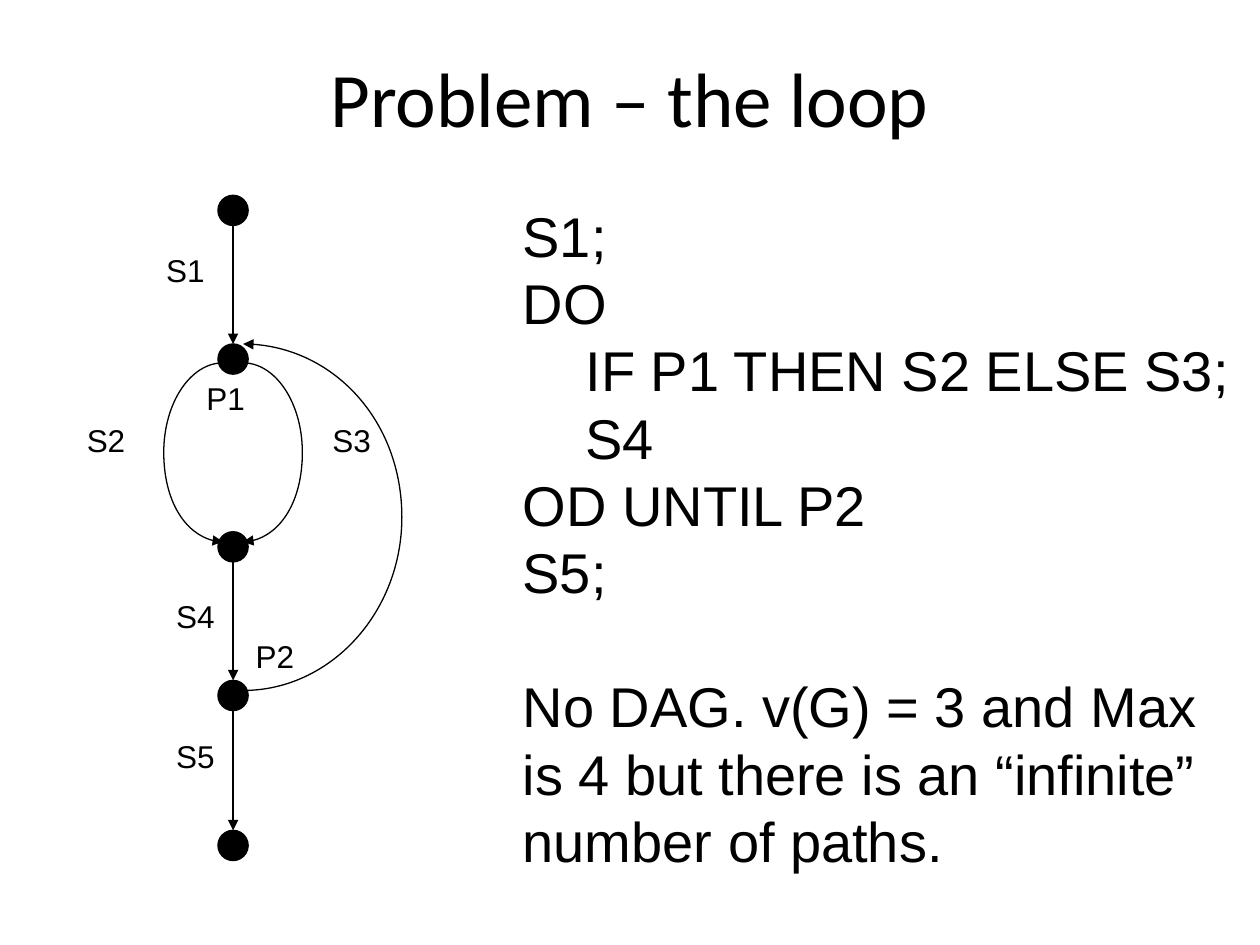
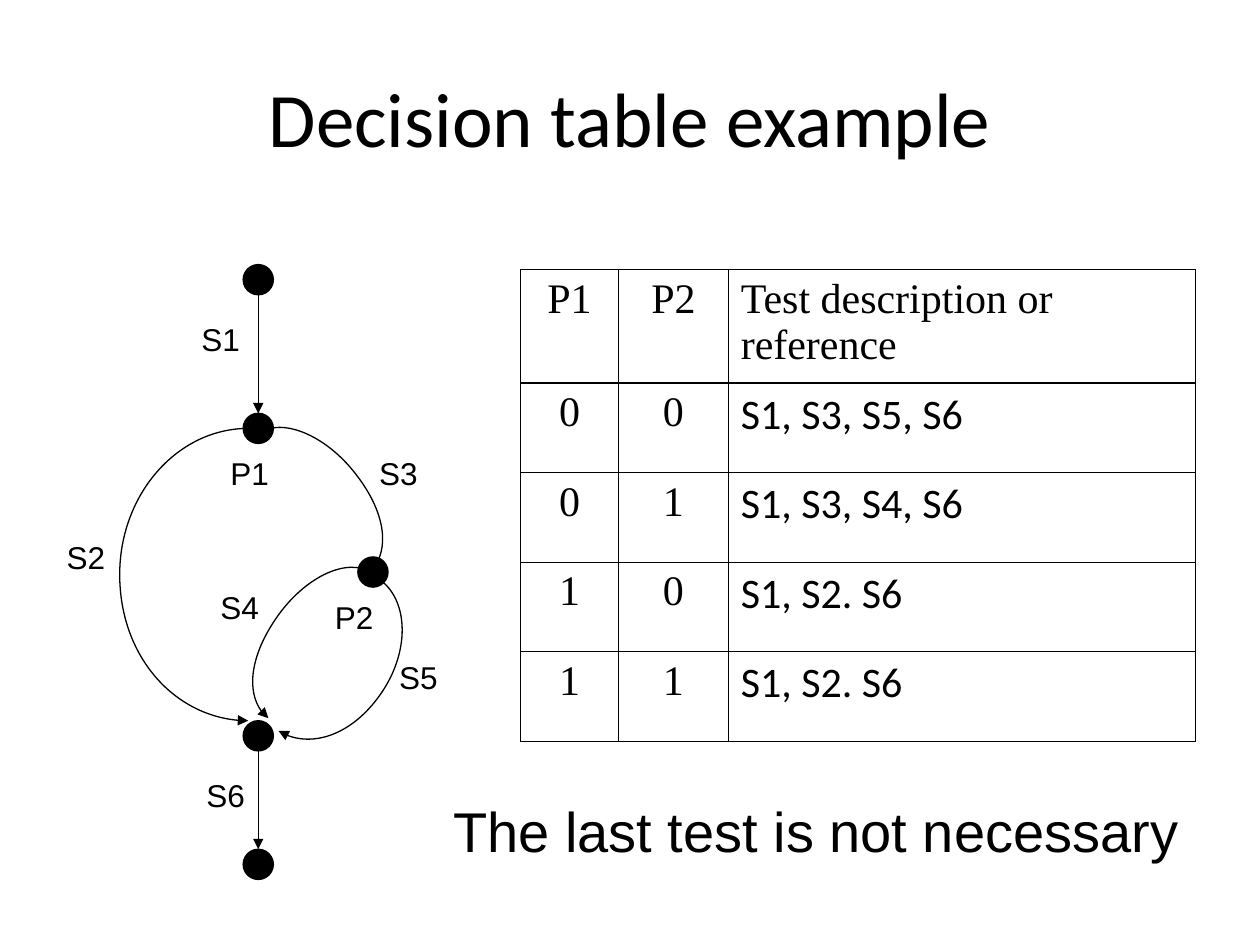
from math import hypot

from lxml import etree
from pptx import Presentation
from pptx import util as u
from pptx.dml.color import RGBColor
from pptx.enum import shapes, text
from pptx.oxml.ns import qn

COLORS = {"ink": "000000", "paper": "FFFFFF"}
TITLE_FONT, BODY_FONT, TABLE_FONT = "Calibri", "Arial", "Times New Roman"
NODE_SIZE = 0.24
LINE_WIDTH = u.Pt(0.75)
ARC = 0.55  # control-point ratio of a quarter ellipse
LEFT, CENTER = text.PP_ALIGN.LEFT, text.PP_ALIGN.CENTER
TOP, MIDDLE = text.MSO_ANCHOR.TOP, text.MSO_ANCHOR.MIDDLE


def color(name):
    return RGBColor.from_string(COLORS[name])


def add_span(para, words, size, font):
    span = para.add_run()
    span.text = words
    span.font.size = u.Pt(size)
    span.font.name = font
    span.font.color.rgb = color("ink")


def add_box(page, place, right_inset=0.0, anchor=TOP):
    """Add an empty wrapping text box and return its frame."""
    frame = page.shapes.add_textbox(*map(u.Inches, place)).text_frame
    frame.word_wrap = True
    frame.vertical_anchor = anchor
    frame.margin_right = u.Inches(right_inset)
    return frame


def add_title(page, words, height):
    frame = add_box(page, (0.5, 0.3, 9, height), 0.1, MIDDLE)
    para = frame.paragraphs[0]
    para.alignment = CENTER
    add_span(para, words, 44, TITLE_FONT)


def style_line(shape, arrow=True):
    shape.line.color.rgb = color("ink")
    shape.line.width = LINE_WIDTH
    if arrow:
        line = shape.line._get_or_add_ln()
        etree.SubElement(line, qn("a:tailEnd"), type="triangle")


def add_node(page, x, y):
    """Draw a dot centred on x, y."""
    corner = (u.Inches(x - NODE_SIZE / 2), u.Inches(y - NODE_SIZE / 2))
    size = u.Inches(NODE_SIZE)
    node = page.shapes.add_shape(shapes.MSO_SHAPE.OVAL, *corner, size, size)
    node.shadow.inherit = False
    node.fill.solid()
    node.fill.fore_color.rgb = color("ink")
    style_line(node, arrow=False)


def add_step(page, x, top, bottom):
    """Draw a downward arrow between two node centres."""
    ends = (x, top + NODE_SIZE / 2, x, bottom - NODE_SIZE / 2)
    step = page.shapes.add_connector(
        shapes.MSO_CONNECTOR.STRAIGHT, *map(u.Inches, ends))
    style_line(step)
    etree.SubElement(step._element.spPr, qn("a:effectLst"))


def add_branch(page, start, end, bulge):
    """Draw half an ellipse; a positive bulge lies left of the travel direction."""
    dx, dy = end[0] - start[0], end[1] - start[1]
    length = hypot(dx, dy)

    def at(along, out):
        return (u.Inches(start[0] + dx * along + dy / length * bulge * out),
                u.Inches(start[1] + dy * along - dx / length * bulge * out))

    near, far = 0.5 * (1 - ARC), 0.5 * (1 + ARC)
    points = [at(0, ARC), at(near, 1), at(0.5, 1),
              at(far, 1), at(1, ARC), at(1, 0)]
    builder = page.shapes.build_freeform(*at(0, 0))
    builder.add_line_segments(points, close=False)
    branch = builder.convert_to_shape()
    branch.shadow.inherit = False
    branch.fill.background()
    style_line(branch)
    outline = next(branch._element.iter(qn("a:path")))
    segments = outline.findall(qn("a:lnTo"))
    for first in (0, 3):
        curve = etree.SubElement(outline, qn("a:cubicBezTo"))
        for segment in segments[first:first + 3]:
            curve.append(segment[0])
            outline.remove(segment)


def add_graph(page, left, top, nodes, steps, branches, labels):
    """Draw a flow graph; all positions count from left, top."""
    for x, y in nodes:
        add_node(page, left + x, top + y)
    for start, end in steps:
        add_step(page, left + nodes[start][0],
                 top + nodes[start][1], top + nodes[end][1])
    for (x1, y1), (x2, y2), bulge in branches:
        add_branch(page, (left + x1, top + y1), (left + x2, top + y2), bulge)
    for words, x, y in labels:
        frame = add_box(page, (left + x, top + y, 0.51, 0.4), anchor=MIDDLE)
        add_span(frame.paragraphs[0], words, 18, BODY_FONT)


def add_program(page, place, lines, remark):
    """Write (indent level, statement) lines with a remark one line below."""
    frame = add_box(page, place)
    rows = [(level, [words]) for level, words in lines] + [(0, remark)]
    pitch = 38.4
    for index, (level, pieces) in enumerate(rows):
        para = frame.add_paragraph() if index else frame.paragraphs[0]
        para.line_spacing = u.Pt(pitch)
        para._p.get_or_add_pPr().set("marL", str(u.Inches(0.5 * level)))
        for number, piece in enumerate(pieces):
            if number:
                para.add_line_break()
            add_span(para, piece, 32, BODY_FONT)
    para.space_before = u.Pt(pitch)


def add_borders(cell, widths):
    properties = cell._tc.get_or_add_tcPr()
    for index, (side, width) in enumerate(widths.items()):
        border = etree.Element(qn(f"a:ln{side}"), w=str(u.Pt(width)))
        fill = etree.SubElement(border, qn("a:solidFill"))
        etree.SubElement(fill, qn("a:srgbClr"), val=COLORS["ink"])
        properties.insert(index, border)


def add_decision_table(page, left, top, header, rows):
    widths, heights = (0.78, 0.87, 3.71), [0.9] + [0.71] * len(rows)
    place = (left, top, sum(widths), sum(heights))
    frame = page.shapes.add_table(
        len(heights), len(widths), *map(u.Inches, place))
    table = frame.table
    table.first_row = table.horz_banding = False
    for column, width in zip(table.columns, widths):
        column.width = u.Inches(width)
    for row, height in zip(table.rows, heights):
        row.height = u.Inches(height)
    for r, values in enumerate([header] + rows):
        for c, value in enumerate(values):
            cell = table.cell(r, c)
            cell.fill.background()
            add_borders(cell, {"L": 0.45, "R": 0.45,
                               "T": 0.96 if r == 1 else 0.45,
                               "B": 0.96 if r == 0 else 0.45})
            is_path = r > 0 and c == 2
            for index, line in enumerate(value.split("\n")):
                body = cell.text_frame
                para = body.add_paragraph() if index else body.paragraphs[0]
                para.alignment = LEFT if c == 2 else CENTER
                if is_path:
                    para.space_before = u.Pt(6)
                add_span(para, line, 24, TITLE_FONT if is_path else TABLE_FONT)


def new_page(deck):
    page = deck.slides.add_slide(deck.slide_layouts[6])
    page.background.fill.solid()
    page.background.fill.fore_color.rgb = color("paper")
    return page


def build_loop_page(deck):
    page = new_page(deck)
    add_title(page, "Problem – the loop", 0.93)
    add_graph(
        page, 1.85, 1.67,
        nodes=[(0, 0), (0, 1.18), (0, 2.67), (0, 3.85), (0, 5.04)],
        steps=[(0, 1), (2, 3), (3, 4)],
        branches=[((-0.08, 1.21), (-0.08, 2.63), -0.47),
                  ((0.08, 1.21), (0.08, 2.63), 0.47),
                  ((0.08, 3.81), (0.08, 1.06), -1.26)],
        labels=[("S1", -0.63, 0.27), ("P1", -0.31, 1.29),
                ("S2", -1.26, 1.62), ("S3", 0.69, 1.62),
                ("S4", -0.55, 3.02), ("P2", 0.08, 3.34),
                ("S5", -0.55, 4.13)])
    add_program(
        page, (4.05, 1.55, 5.9, 5.44),
        [(0, "S1;"), (0, "DO"), (1, "IF P1 THEN S2 ELSE S3;"), (1, "S4"),
         (0, "OD UNTIL P2"), (0, "S5;")],
        ["No DAG. v(G) = 3 and Max ", "is 4 but there is an “infinite” ",
         "number of paths."])


def build_decision_page(deck):
    page = new_page(deck)
    add_title(page, "Decision table example", 1.25)
    add_graph(
        page, 2.05, 2.22,
        nodes=[(0, 0), (0, 1.18), (0.91, 2.32), (0, 3.62), (0, 4.64)],
        steps=[(0, 1), (3, 4)],
        branches=[((-0.08, 1.18), (-0.08, 3.5), -1.02),
                  ((-0.01, 1.23), (0.88, 2.32), 0.41),
                  ((0.9, 2.33), (0.08, 3.48), -0.41),
                  ((0.95, 2.37), (0.16, 3.58), 0.52)],
        labels=[("S1", -0.55, 0.27), ("P1", -0.32, 1.33),
                ("S3", 0.86, 1.33), ("S2", -1.62, 2.0),
                ("S4", -0.4, 2.4), ("P2", 0.51, 2.48),
                ("S5", 1.02, 2.95), ("S6", -0.51, 3.89)])
    add_decision_table(
        page, 4.13, 2.14,
        ("P1", "P2", "Test description or\nreference"),
        [("0", "0", "S1, S3, S5, S6"), ("0", "1", "S1, S3, S4, S6"),
         ("1", "0", "S1, S2. S6"), ("1", "1", "S1, S2. S6")])
    remark = add_box(page, (3.5, 6.27, 6.08, 0.64), anchor=MIDDLE)
    add_span(remark.paragraphs[0], "The last test is not necessary",
             32, BODY_FONT)


def main():
    deck = Presentation()
    deck.slide_width, deck.slide_height = u.Inches(10), u.Inches(7.5)
    build_loop_page(deck)
    build_decision_page(deck)
    deck.save("out.pptx")


if __name__ == "__main__":
    main()
